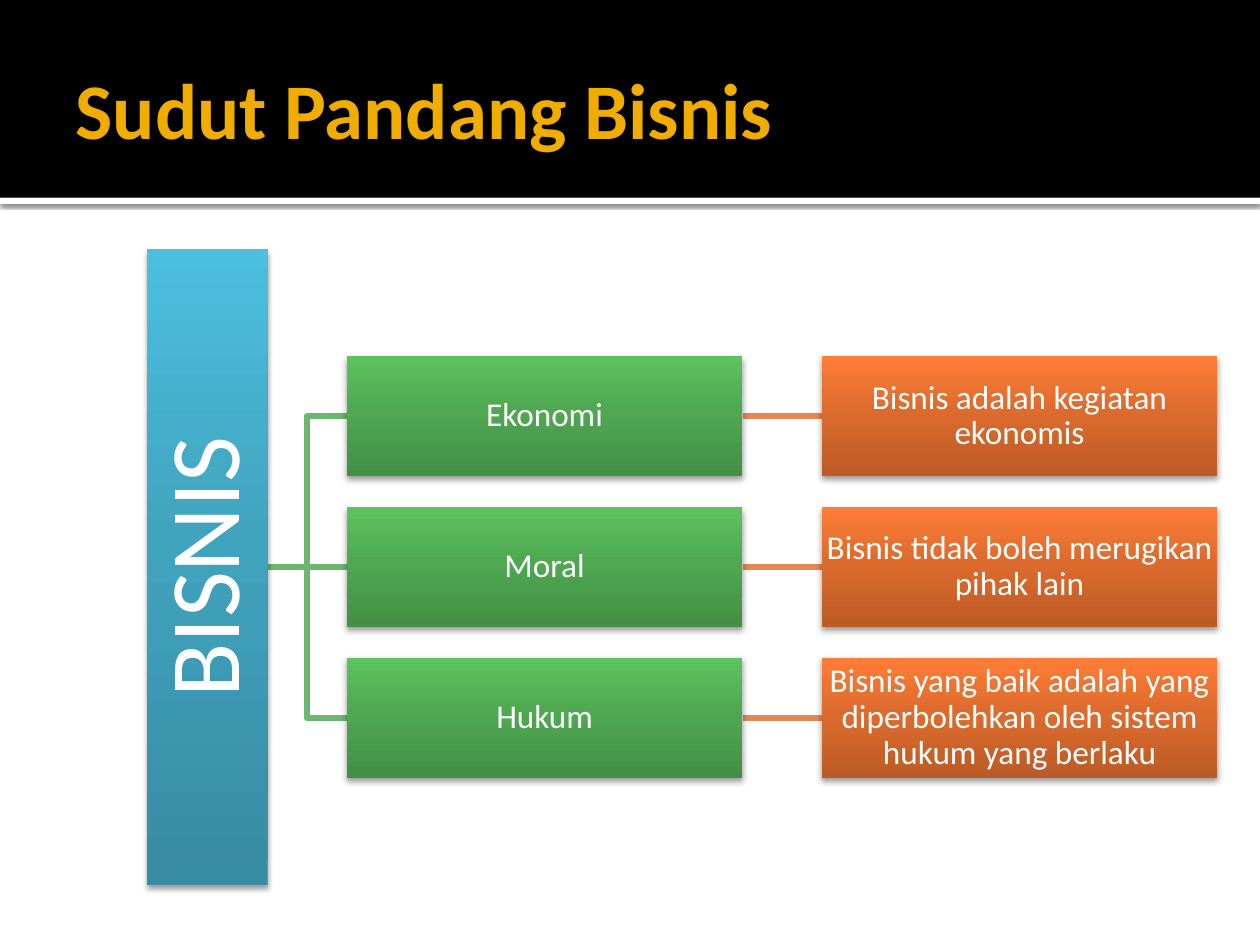
"""Build the "Sudut Pandang Bisnis" slide with a horizontal hierarchy diagram."""
import pptx
import pptx.dml.color
import pptx.enum.shapes
import pptx.enum.text
import pptx.oxml
import pptx.oxml.ns
import pptx.util

Pt = pptx.util.Pt
RGB = pptx.dml.color.RGBColor
SHAPE = pptx.enum.shapes.MSO_SHAPE
ALIGN = pptx.enum.text.PP_ALIGN
MIDDLE = pptx.enum.text.MSO_ANCHOR.MIDDLE

WHITE = RGB(0xFF, 0xFF, 0xFF)
BLACK = RGB(0x00, 0x00, 0x00)
GOLD = RGB(0xF0, 0xAD, 0x00)
GREEN_LINE = RGB(0x6B, 0xB7, 0x6D)
ORANGE_LINE = RGB(0xE8, 0x86, 0x51)
BLUES = RGB(0x37, 0x8B, 0xA2), RGB(0x41, 0xA4, 0xBF), RGB(0x4B, 0xBF, 0xDE)
GREENS = RGB(0x43, 0x8F, 0x45), RGB(0x4F, 0xA8, 0x51), RGB(0x5C, 0xC3, 0x5F)
ORANGES = RGB(0xBC, 0x5B, 0x26), RGB(0xDD, 0x6B, 0x2D), RGB(0xFF, 0x7D, 0x37)

ROWS = [
    ("Ekonomi", "Bisnis adalah kegiatan ekonomis"),
    ("Moral", "Bisnis tidak boleh merugikan pihak lain"),
    ("Hukum", "Bisnis yang baik adalah yang diperbolehkan oleh sistem hukum yang berlaku"),
]
BOX_W, BOX_H, GAP = 226.2, 68.9, 45.2
ROW_STEP = 86.2
BAR_LEFT, BAR_LENGTH, MID_Y = 84, 363.2, 324


class Deck:
    """Hold the style and the current slide."""

    font = "Calibri"
    line_width = 3.78

    def __init__(self, prs):
        self.s = prs.slides.add_slide(prs.slide_layouts[5])

    def style(self, p, size, color, bold=False):
        p.font.name, p.font.size, p.font.bold = self.font, Pt(size), bold
        p.font.color.rgb = color

    def shadow(self, sp, alpha, blur, dist):
        sp.shadow.inherit = False
        effects = sp._element.spPr.find(pptx.oxml.ns.qn("a:effectLst"))
        effects.append(pptx.oxml.parse_xml(
            f'<a:outerShdw {pptx.oxml.ns.nsdecls("a")} blurRad="{Pt(blur)}" dist="{Pt(dist)}" '
            f'dir="5400000" algn="t" rotWithShape="0"><a:srgbClr val="000000">'
            f'<a:alpha val="{alpha * 1000}"/></a:srgbClr></a:outerShdw>'))

    def band(self, top, height, color):
        sp = self.s.shapes.add_shape(SHAPE.RECTANGLE, 0, Pt(top), Pt(720), Pt(height))
        sp.shadow.inherit = False
        sp.fill.solid()
        sp.fill.fore_color.rgb = color
        sp.line.fill.background()
        return sp

    def title(self, text):
        sp = self.s.shapes.title
        self.s.shapes._spTree.append(sp._element)
        sp.left, sp.top, sp.width, sp.height = Pt(36), Pt(12.24), Pt(648), Pt(98.64)
        tf = sp.text_frame
        tf.text = text
        tf.vertical_anchor = MIDDLE
        tf.auto_size = pptx.enum.text.MSO_AUTO_SIZE.NONE
        tf.margin_left = Pt(7.2)
        tf.margin_right = tf.margin_top = tf.margin_bottom = Pt(3.6)
        p = tf.paragraphs[0]
        p.alignment = ALIGN.LEFT
        self.style(p, 45, GOLD, bold=True)

    def line(self, x1, x2, y, color):
        cx = self.s.shapes.add_connector(
            pptx.enum.shapes.MSO_CONNECTOR.STRAIGHT, Pt(x1), Pt(y), Pt(x2), Pt(y))
        cx.line.color.rgb, cx.line.width = color, Pt(self.line_width)
        cx._element.spPr.append(pptx.oxml.parse_xml(
            f'<a:effectLst {pptx.oxml.ns.nsdecls("a")}/>'))

    def elbow(self, x1, y1, x2, y2, color):
        mid = (x1 + x2) / 2
        fb = self.s.shapes.build_freeform(Pt(x1), Pt(y1))
        fb.add_line_segments(
            [(Pt(mid), Pt(y1)), (Pt(mid), Pt(y2)), (Pt(x2), Pt(y2))], close=False)
        sp = fb.convert_to_shape()
        sp.shadow.inherit = False
        sp.fill.background()
        sp.line.color.rgb, sp.line.width = color, Pt(self.line_width)

    def box(self, cx, cy, w, h, text, colors, size=19, inset=0.72, blur=3.5, rotation=0):
        sp = self.s.shapes.add_shape(
            SHAPE.RECTANGLE, Pt(cx - w / 2), Pt(cy - h / 2), Pt(w), Pt(h))
        sp.rotation = rotation
        stops = "".join(
            f'<a:gs pos="{pos * 1000}"><a:srgbClr val="{color}"/></a:gs>'
            for pos, color in zip((0, 55, 100), colors))
        sp._element.spPr.insert(2, pptx.oxml.parse_xml(
            f'<a:gradFill {pptx.oxml.ns.nsdecls("a")} rotWithShape="0"><a:gsLst>{stops}</a:gsLst>'
            f'<a:lin ang="16200000" scaled="0"/></a:gradFill>'))
        sp.line.fill.background()
        self.shadow(sp, 38, blur, 2)
        tf = sp.text_frame
        tf.text = text
        tf.word_wrap, tf.vertical_anchor = True, MIDDLE
        tf.margin_left = tf.margin_right = tf.margin_top = tf.margin_bottom = Pt(inset)
        p = tf.paragraphs[0]
        p.alignment, p.line_spacing = ALIGN.CENTER, 0.9
        self.style(p, size, WHITE)


def main():
    prs = pptx.Presentation()
    prs.slide_width, prs.slide_height = Pt(720), Pt(540)
    deck = Deck(prs)
    deck.shadow(deck.band(113, 3.6, WHITE), 60, 2.5, 0.8)
    deck.band(0, 113, BLACK)
    deck.title("Sudut Pandang Bisnis")

    bar_right = BAR_LEFT + BOX_H
    aspect_x = bar_right + GAP
    view_x = aspect_x + BOX_W + GAP
    row_ys = [MID_Y + (i - 1) * ROW_STEP for i in range(len(ROWS))]
    for y in row_ys:
        deck.line(view_x - GAP, view_x, y, ORANGE_LINE)
        if y == MID_Y:
            deck.line(bar_right, aspect_x, y, GREEN_LINE)
        else:
            deck.elbow(bar_right, MID_Y, aspect_x, y, GREEN_LINE)

    deck.box(BAR_LEFT + BOX_H / 2, MID_Y, BAR_LENGTH, BOX_H, "BISNIS", BLUES,
             size=57, inset=2.88, blur=3.1, rotation=270)
    for y, (aspect, view) in zip(row_ys, ROWS):
        deck.box(aspect_x + BOX_W / 2, y, BOX_W, BOX_H, aspect, GREENS)
        deck.box(view_x + BOX_W / 2, y, BOX_W, BOX_H, view, ORANGES)
    prs.save("out.pptx")


if __name__ == "__main__":
    main()
